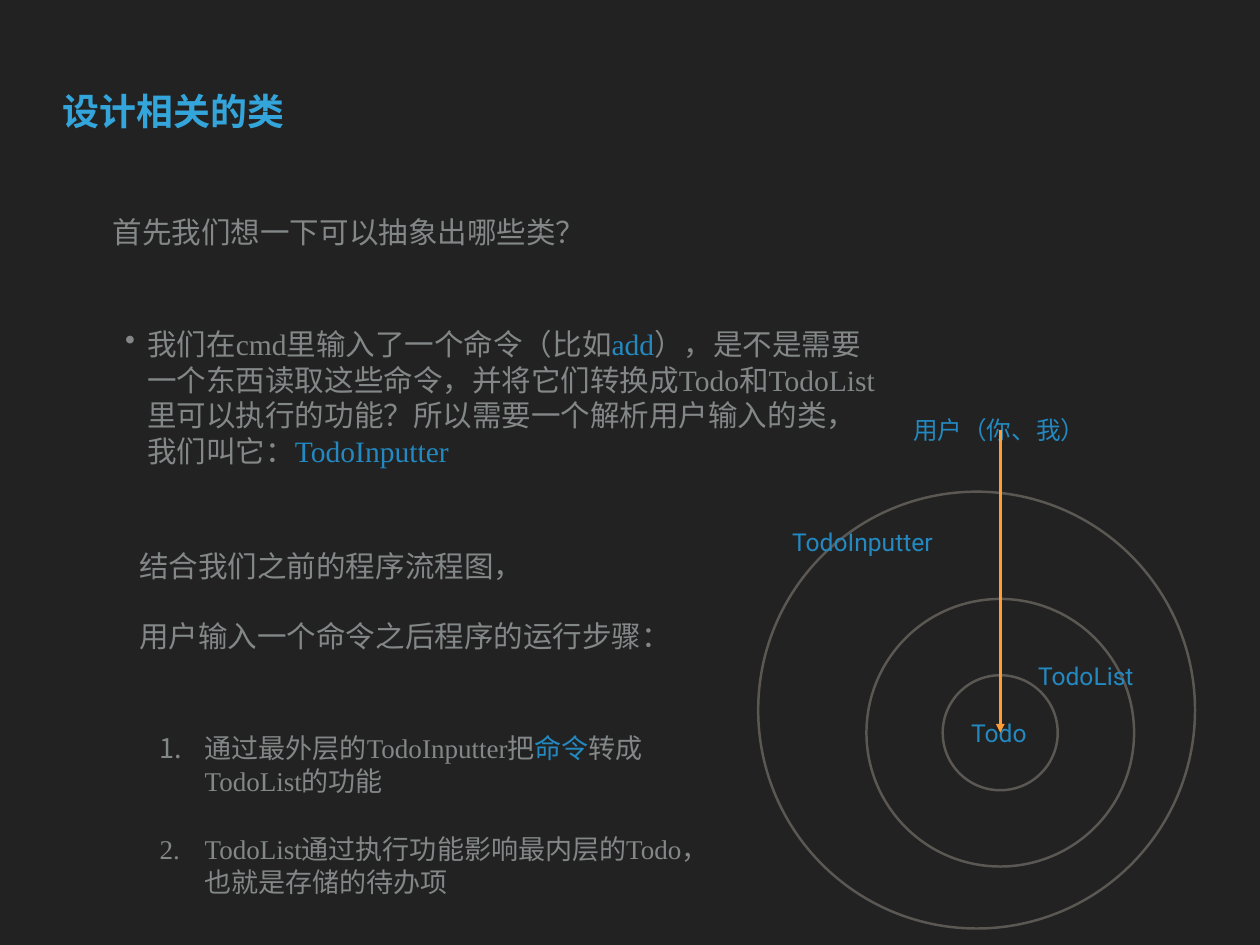
from lxml import etree
from pptx import Presentation
from pptx.dml.color import RGBColor
from pptx.enum.shapes import MSO_CONNECTOR, MSO_SHAPE
from pptx.enum.text import MSO_ANCHOR, MSO_AUTO_SIZE
from pptx.oxml.ns import qn
from pptx.util import Pt

TOP, MIDDLE = MSO_ANCHOR.TOP, MSO_ANCHOR.MIDDLE
GROW, FIXED = MSO_AUTO_SIZE.SHAPE_TO_FIT_TEXT, MSO_AUTO_SIZE.NONE
OVAL, STRAIGHT = MSO_SHAPE.OVAL, MSO_CONNECTOR.STRAIGHT

COLORS = {"background": "222222", "title": "34A5DA", "body": "838787",
          "accent": "2389C0", "ring": "5B5854", "arrow": "FF9D36"}
INSET = Pt(4.4)
FRAME = {"margin_left": INSET, "margin_right": INSET, "margin_top": INSET,
         "margin_bottom": INSET, "vertical_anchor": MIDDLE, "auto_size": GROW}
TITLE_FONT = {"name": "Times New Roman", "size": Pt(30), "bold": True}
BODY_FONT = {"name": "Times New Roman", "size": Pt(24)}
STEP_FONT = {"name": "Times New Roman", "size": Pt(22)}
LABEL_FONT = {"name": "Roboto", "size": Pt(20)}
DOT = ("buChar", {"char": "•"}, 18)
NUMBER = ("buAutoNum", {"type": "arabicPeriod"}, 36.7)


def color(key):
    """Return the named colour."""
    return RGBColor.from_string(COLORS[key])


def apply(target, values):
    """Set each format value on the target."""
    for key, value in values.items():
        setattr(target, key, value)


def add_bullet(paragraph, bullet):
    """Give the paragraph a hanging bullet or number."""
    tag, attributes, indent = bullet
    properties = paragraph._p.get_or_add_pPr()
    properties.set("marL", str(Pt(indent)))
    properties.set("indent", str(-Pt(indent)))
    etree.SubElement(properties, qn("a:" + tag), attributes)


def add_text(slide, box, paragraphs, font, spacing=None, bullet=None,
             wrap=False, **frame_values):
    """Write paragraphs of (text, colour) runs into a text box."""
    frame = slide.shapes.add_textbox(*map(Pt, box)).text_frame
    apply(frame, {**FRAME, "word_wrap": wrap, **frame_values})
    for index, runs in enumerate(paragraphs):
        paragraph = frame.add_paragraph() if index else frame.paragraphs[0]
        if bullet:
            add_bullet(paragraph, bullet)
        if spacing:
            paragraph.line_spacing = spacing
        if index:
            paragraph.space_before = Pt(28)
        for text, color_key in runs:
            for line_index, line in enumerate(text.split("\n")):
                if line_index:
                    paragraph.add_line_break()
                run = paragraph.add_run()
                run.text = line
                apply(run.font, font)
                run.font.color.rgb = color(color_key)


def add_title(slide, box):
    """Write the slide heading."""
    add_text(slide, box, [[("设计相关的类", "title")]], TITLE_FONT, 0.8,
             wrap=True, vertical_anchor=TOP, auto_size=FIXED)


def add_discussion(slide, box):
    """Write the question, its answer and the running steps."""
    left, top, width, _ = box
    add_text(slide, (left, top, 393, 41),
             [[("首先我们想一下可以抽象出哪些类？", "body")]], BODY_FONT, Pt(29))
    add_text(slide, (left + 10, top + 83.7, width, 143.5), [[
        ("我们在cmd里输入了一个命令（比如", "body"), ("add", "accent"),
        ("），是不是需要一个东西读取这些命令，并将它们转换成Todo和TodoList里可以执行的功能？"
         "所以需要一个解析用户输入的类，我们叫它：", "body"),
        ("TodoInputter", "accent")]], BODY_FONT, Pt(29), DOT, True)
    add_text(slide, (left + 21.5, top + 269, 441.5, 103),
             [[("结合我们之前的程序流程图，", "body")],
              [("用户输入一个命令之后程序的运行步骤：", "body")]], BODY_FONT, Pt(29))
    add_text(slide, (left + 38, top + 415, width, 159), [
        [("通过最外层的TodoInputter把", "body"), ("命令", "accent"),
         ("转成\nTodoList的功能", "body")],
        [("TodoList通过执行功能影响最内层的Todo，\n也就是存储的待办项", "body")]],
        STEP_FONT, Pt(27), NUMBER, True)


def add_ring(slide, center_x, center_y, diameter):
    """Draw one unfilled ring around a centre."""
    ring = slide.shapes.add_shape(
        OVAL, Pt(center_x - diameter / 2), Pt(center_y - diameter / 2),
        Pt(diameter), Pt(diameter))
    ring.shadow.inherit = False
    ring.fill.background()
    ring.line.color.rgb = color("ring")
    ring.line.width = Pt(2)


def add_arrow(slide, x, start_y, end_y):
    """Draw the arrow from the user down to the core."""
    arrow = slide.shapes.add_connector(STRAIGHT, Pt(x), Pt(start_y), Pt(x), Pt(end_y))
    arrow.line.color.rgb = color("arrow")
    arrow.line.width = Pt(2.4)
    etree.SubElement(arrow.line._get_or_add_ln(), qn("a:tailEnd"), {"type": "triangle"})
    etree.SubElement(arrow._element.spPr, qn("a:effectLst"))


def add_layers(slide, box):
    """Draw the class layers with their labels and the arrow."""
    left, top, width, height = box
    core_x, core_y = left + 196.7, top + 264.3
    add_ring(slide, core_x, core_y, 93.5)
    add_ring(slide, left + width / 2, top + height - width / 2, width)
    add_ring(slide, core_x, core_y, 217.5)
    labels = [("Todo", 168.6, 246.8, 64), ("TodoList", 223, 200.2, 98),
              ("TodoInputter", 23.1, 91.4, 140), ("用户（你、我）", 121.4, 0, 165)]
    for name, x, y, label_width in labels:
        add_text(slide, (left + x, top + y, label_width, 35.5),
                 [[(name, "accent")]], LABEL_FONT, wrap=True, auto_size=FIXED)
    add_arrow(slide, core_x, top + 18, core_y)


def main():
    """Build and save the slide."""
    deck = Presentation()
    apply(deck, {"slide_width": Pt(1024), "slide_height": Pt(768)})
    slide = deck.slides.add_slide(deck.slide_layouts[6])
    slide.background.fill.solid()
    slide.background.fill.fore_color.rgb = color("background")
    add_title(slide, (46.8, 74.3, 387.4, 49.7))
    add_discussion(slide, (87.3, 167.4, 621.5, 574))
    add_layers(slide, (616.2, 331.2, 355, 423.4))
    deck.save("out.pptx")


if __name__ == "__main__":
    main()
